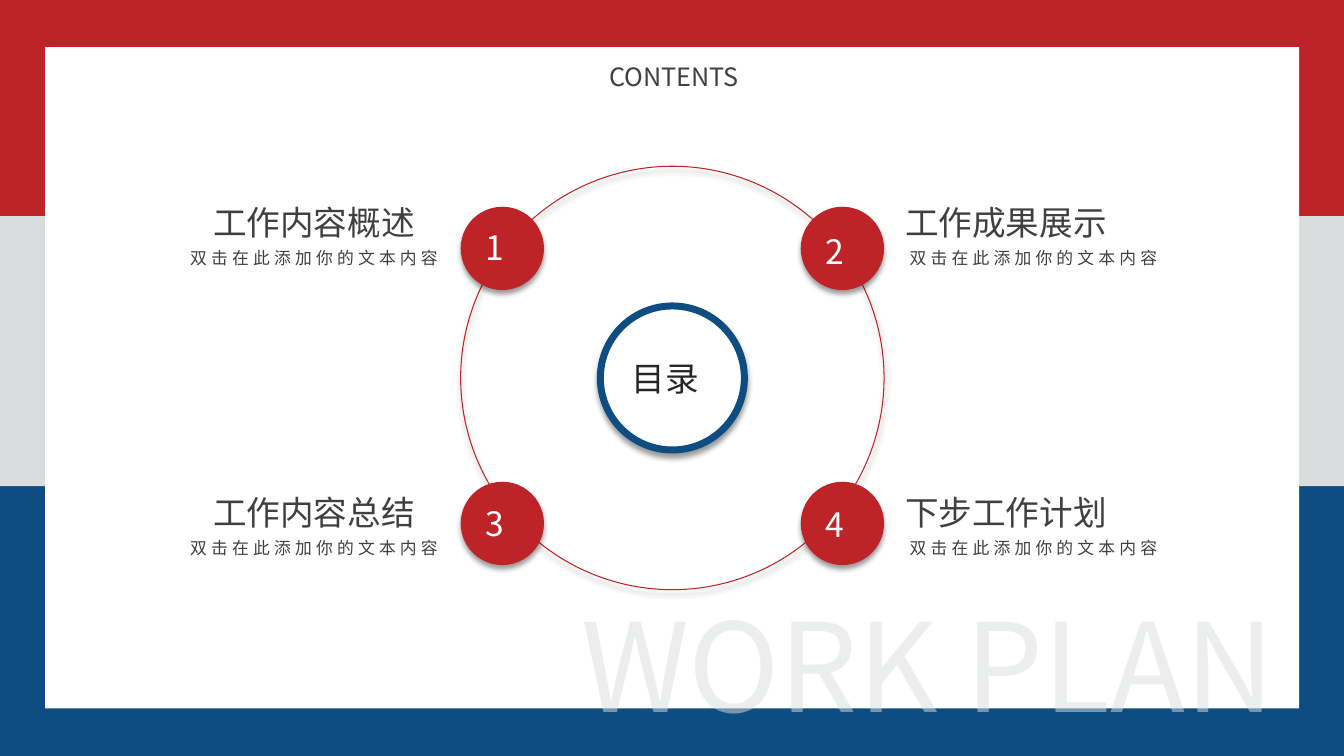
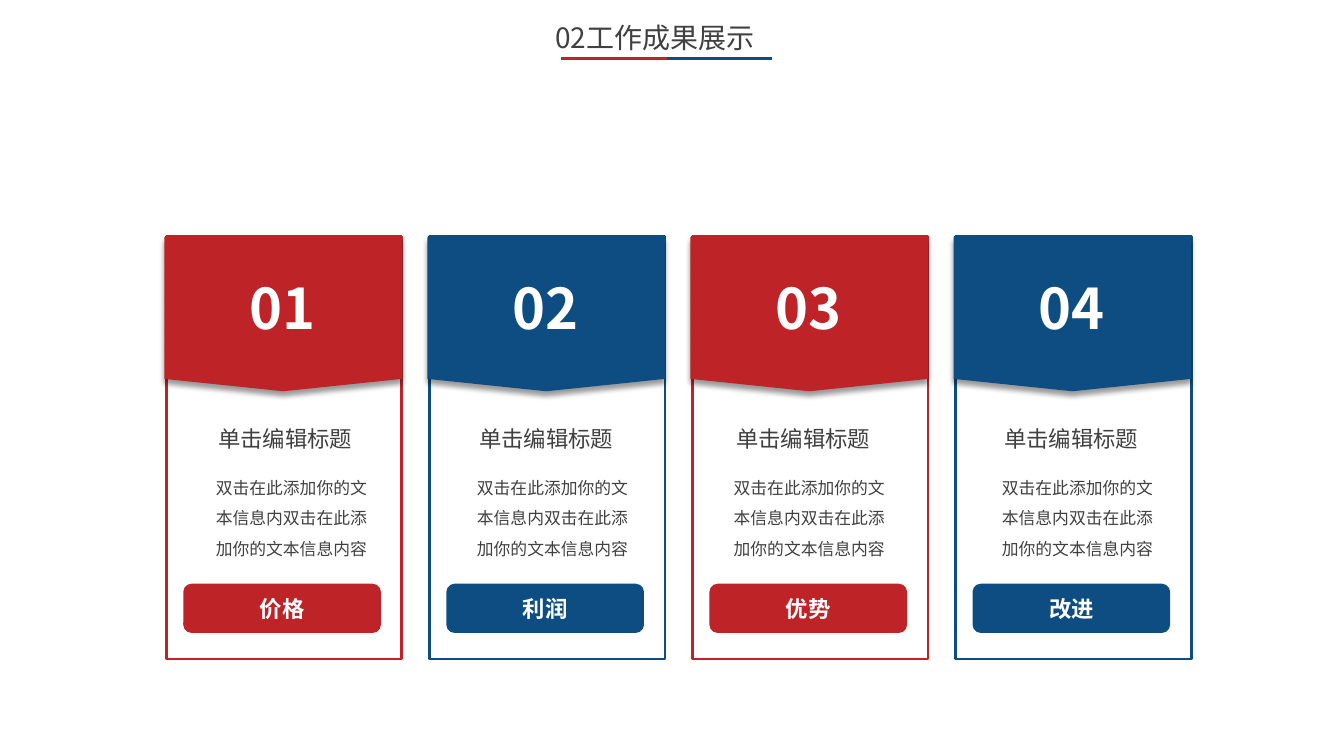
from pptx import Presentation
from pptx.dml.color import RGBColor
from pptx.enum.shapes import MSO_CONNECTOR, MSO_SHAPE
from pptx.enum.text import MSO_ANCHOR, MSO_AUTO_SIZE, PP_ALIGN
from pptx.oxml.ns import qn
from pptx.oxml.xmlchemy import OxmlElement
from pptx.util import Cm, Pt

RED = RGBColor(0xBE, 0x23, 0x27)
BLUE = RGBColor(0x0D, 0x4D, 0x81)
GREY = RGBColor(0xDA, 0xDD, 0xDD)
WHITE = RGBColor(0xFF, 0xFF, 0xFF)
DARK = RGBColor(0x40, 0x40, 0x40)
BLACK = RGBColor(0x26, 0x26, 0x26)
FONT = "Noto Sans CJK SC"
WIDTH, HEIGHT = 33.87, 19.05

JUSTIFIED = {"alignment": PP_ALIGN.JUSTIFY}
CENTERED = {"alignment": PP_ALIGN.CENTER}
RIGHT = {"alignment": PP_ALIGN.RIGHT}
NO_MARGINS = dict.fromkeys(("margin_left", "margin_top", "margin_right", "margin_bottom"), 0)
FITTED = {"word_wrap": True, "auto_size": MSO_AUTO_SIZE.SHAPE_TO_FIT_TEXT}


def apply_format(target, values):
    for name, value in values.items():
        setattr(target, name, value)


def add_child(parent, tag, **attributes):
    child = OxmlElement(tag)
    for name, value in attributes.items():
        child.set(name, str(value))
    parent.append(child)
    return child


def write_text(shape, text, size, color, layout, bold=False, spacing=None, alpha=None):
    paragraph = shape.text_frame.paragraphs[0]
    apply_format(paragraph, layout)
    run = paragraph.add_run()
    run.text = text
    apply_format(run.font, {"name": FONT, "size": Pt(size), "bold": bold})
    run.font.color.rgb = color
    properties = run.font._element
    add_child(properties, "a:ea", typeface=FONT)
    if spacing:
        properties.set("spc", str(spacing * 100))
    if alpha:
        add_child(properties.find(".//" + qn("a:srgbClr")), "a:alpha", val=alpha * 1000)


def add_text(slide, box, text, size, color=DARK, layout=JUSTIFIED, frame=None, **style):
    shape = slide.shapes.add_textbox(*map(Cm, box))
    apply_format(shape.text_frame, {**FITTED, **(frame or {})})
    write_text(shape, text, size, color, layout, **style)


def add_shadow(shape):
    effects = shape._element.spPr.find(qn("a:effectLst"))
    shadow = add_child(effects, "a:outerShdw", blurRad=Pt(4), dist=Pt(3),
                       dir=5400000, algn="t", rotWithShape=0)
    color = add_child(shadow, "a:srgbClr", val="000000")
    add_child(color, "a:alpha", val=40000)


def add_block(slide, kind, box, fill=None, line=None, line_width=0, shadow=False):
    shape = slide.shapes.add_shape(kind, *map(Cm, box))
    if fill is None:
        shape.fill.background()
    else:
        shape.fill.solid()
        shape.fill.fore_color.rgb = fill
    if line is None:
        shape.line.fill.background()
    else:
        shape.line.color.rgb = line
        shape.line.width = Pt(line_width)
    shape.shadow.inherit = False
    if shadow:
        add_shadow(shape)
    return shape


def add_slide(presentation, background):
    slide = presentation.slides.add_slide(presentation.slide_layouts[6])
    slide.background.fill.solid()
    slide.background.fill.fore_color.rgb = background
    return slide


def add_frame(slide):
    bands = [
        ((0, 12.24, WIDTH, HEIGHT - 12.24), BLUE),
        ((0, 5.45, WIDTH, 6.8), GREY),
        ((1.14, 1.19, 31.6, 16.66), WHITE),
    ]
    for box, color in bands:
        add_block(slide, MSO_SHAPE.RECTANGLE, box, color)
    add_text(slide, (14.4, 14.73, 19.02, 4.01), "WORK PLAN", 88, GREY, {},
             {"word_wrap": False}, alpha=50)


def add_entry(slide, left, top, heading, note_shift):
    add_text(slide, (left, top, 5.92, 1.28), heading, 24)
    add_text(slide, (left + note_shift, top + 1.28, 7.7, 0.51), "双击在此添加你的文本内容",
             12, DARK, RIGHT, NO_MARGINS, spacing=3)


def add_wheel(slide, left, top, size, number_drops):
    hub, disc = 3.63, 2.1
    inset = (size - hub) / 2
    add_block(slide, MSO_SHAPE.OVAL, (left, top, size, size), None, RED, 0.75, True)
    add_block(slide, MSO_SHAPE.OVAL, (left + inset, top + inset, hub, hub), WHITE, BLUE, 5, True)
    add_text(slide, (left + 4.06, top + 4.7, 2.51, 1.28), "目录", 24, BLACK)
    for index, drop in enumerate(number_drops):
        row, column = divmod(index, 2)
        x = left + column * (size - disc)
        y = top + 1.02 + row * 6.93
        add_block(slide, MSO_SHAPE.OVAL, (x, y, disc, disc), RED, shadow=True)
        add_text(slide, (x + 0.38, y + drop, 1.32, 1.28), str(index + 1), 24, WHITE)


def build_contents(presentation):
    slide = add_slide(presentation, RED)
    add_frame(slide)
    headings = ["工作内容概述", "工作成果展示", "工作内容总结", "下步工作计划"]
    columns = [(5.12, -1.78), (22.56, -1.09)]
    for index, heading in enumerate(headings):
        row, column = divmod(index, 2)
        left, note_shift = columns[column]
        add_entry(slide, left, 4.97 + row * 7.29, heading, note_shift)
    add_wheel(slide, 11.61, 4.19, 10.67, [0.38, 0.48, 0.41, 0.43])
    add_text(slide, (15.11, 1.42, 4.04, 1.02), "CONTENTS", 18)


def add_title(slide, left, top, title):
    add_text(slide, (left, top, 6.1, 1.12), title, 20)
    half, start, y = 2.65, left + 0.41, top + 1.1
    for index, color in enumerate((RED, BLUE)):
        x = start + index * half
        line = slide.shapes.add_connector(MSO_CONNECTOR.STRAIGHT, Cm(x), Cm(y), Cm(x + half), Cm(y))
        line.line.color.rgb = color
        line.line.width = Pt(2)
        add_child(line._element.spPr, "a:effectLst")


def add_card(slide, left, top, number, color, label, text_shift):
    add_block(slide, MSO_SHAPE.RECTANGLE, (left, top, 5.94, 10.64), WHITE, color, 2)
    banner_width, banner_height = 5.99, 3.89
    offset = (banner_width - banner_height) / 2
    banner = add_block(slide, MSO_SHAPE.PENTAGON,
                       (left - 0.05 + offset, top - offset, banner_height, banner_width),
                       color, shadow=True)
    banner.rotation = 90
    banner.adjustments[0] = 0.08
    add_text(slide, (left + 1.26, top + 0.79, 3.33, 1.96), number, 40, WHITE, CENTERED, bold=True)
    button = add_block(slide, MSO_SHAPE.ROUNDED_RECTANGLE,
                       (left + 0.43, top + 8.74, 4.98, 1.24), color)
    button.text_frame.vertical_anchor = MSO_ANCHOR.MIDDLE
    write_text(button, label, 16, WHITE, CENTERED, bold=True)
    text_left = left + text_shift
    add_text(slide, (text_left, top + 4.75, 6.5, 0.69), "单击编辑标题", 16, DARK,
             CENTERED, NO_MARGINS)
    add_text(slide, (text_left + 1.5, top + 5.82, 3.84, 2.21),
             "双击在此添加你的文本信息内双击在此添加你的文本信息内容", 12, DARK,
             {"line_spacing": 1.5}, NO_MARGINS)


def build_results(presentation):
    slide = add_slide(presentation, WHITE)
    cards = [("价格", -0.25), ("利润", -0.3), ("优势", -0.46), ("改进", -0.33)]
    for index, (label, text_shift) in enumerate(cards):
        add_card(slide, 4.19 + index * 6.63, 5.97, f"{index + 1:02}", (RED, BLUE)[index % 2],
                 label, text_shift)
    add_title(slide, 13.74, 0.38, "02工作成果展示")


def main():
    presentation = Presentation()
    apply_format(presentation, {"slide_width": Cm(WIDTH), "slide_height": Cm(HEIGHT)})
    build_contents(presentation)
    build_results(presentation)
    presentation.save("out.pptx")


if __name__ == "__main__":
    main()
